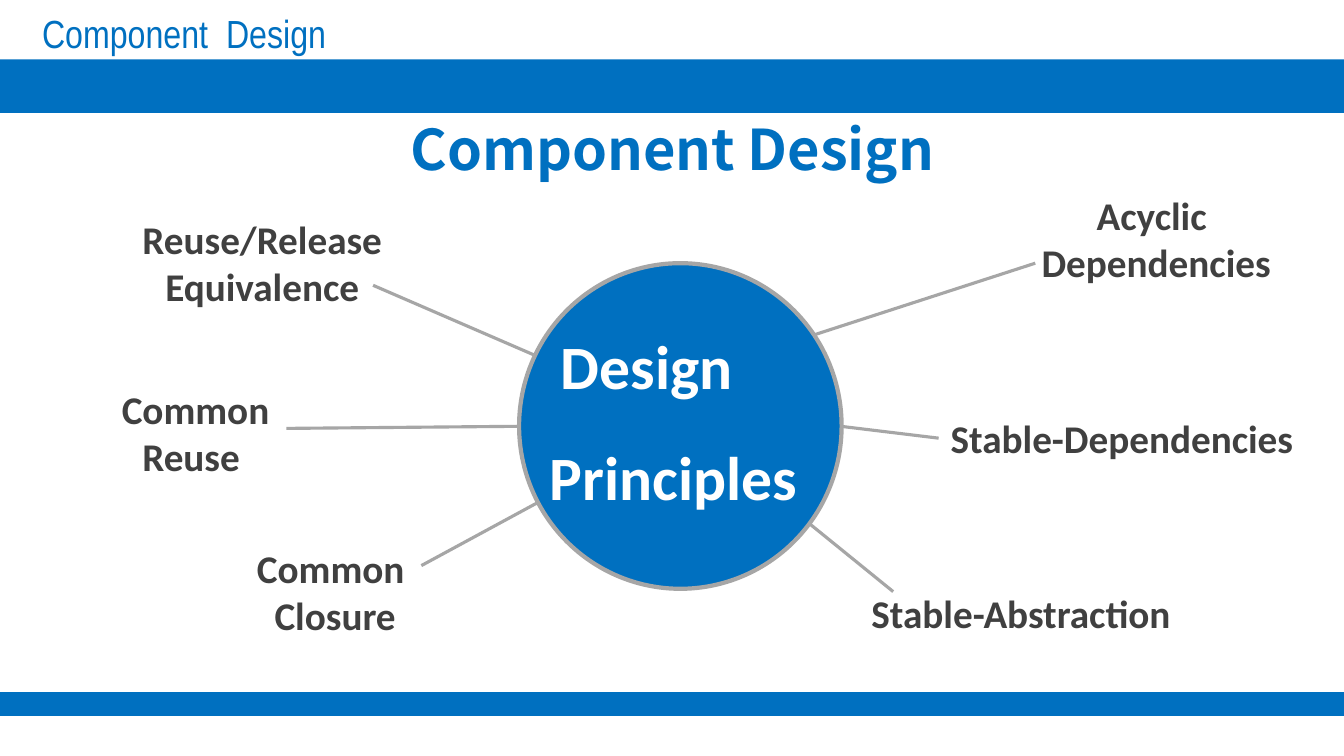
from lxml import etree
from pptx import Presentation
from pptx.dml.color import RGBColor
from pptx.enum import shapes, text
from pptx.oxml.ns import qn
from pptx.util import Pt

BLUE = RGBColor(0x00, 0x70, 0xC0)
GRAY = RGBColor(0xA6, 0xA6, 0xA6)
DARK = RGBColor(0x40, 0x40, 0x40)
WHITE = RGBColor(0xFF, 0xFF, 0xFF)
WIDTH, HEIGHT = 960, 540

presentation = Presentation()
presentation.slide_width = Pt(WIDTH)
presentation.slide_height = Pt(HEIGHT)
slide = presentation.slides.add_slide(presentation.slide_layouts[6])


def add_line(x1, y1, x2, y2, color, weight):
    line = slide.shapes.add_connector(
        shapes.MSO_CONNECTOR.STRAIGHT, Pt(x1), Pt(y1), Pt(x2), Pt(y2))
    line.line.color.rgb = color
    line.line.width = Pt(weight)
    etree.SubElement(line._element.spPr, qn("a:effectLst"))


def add_text(box, lines, size, color, font="Calibri", bold=True,
             align=text.PP_ALIGN.CENTER, wrap=False):
    """Add a text box with one paragraph per line and return its paragraphs."""
    frame = slide.shapes.add_textbox(*map(Pt, box)).text_frame
    frame.word_wrap = wrap
    frame.text = "\n".join(lines)
    for paragraph in frame.paragraphs:
        paragraph.alignment = align
        paragraph.font.name = font
        paragraph.font.size = Pt(size)
        paragraph.font.bold = bold
        paragraph.font.color.rgb = color
        for run in paragraph.runs:
            east_asian = etree.SubElement(run._r.get_or_add_rPr(), qn("a:ea"))
            east_asian.set("typeface", font)
    return frame.paragraphs


# Spokes from the hub to the principles
spokes = [
    (576, 241, 739.5, 188),
    (266.5, 203.8, 382.5, 254),
    (204.5, 306, 371, 304.5),
    (301, 404, 385, 358.5),
    (600.5, 304.5, 670.5, 313),
    (576, 372.3, 638, 422.6),
]
for spoke in spokes:
    add_line(*spoke, GRAY, 2.25)

# Hub
hub = slide.shapes.add_shape(
    shapes.MSO_SHAPE.OVAL, Pt(370.8), Pt(188), Pt(230.4), Pt(232.6))
hub.shadow.inherit = False
hub.fill.solid()
hub.fill.fore_color.rgb = BLUE
hub.line.color.rgb = GRAY
hub.line.width = Pt(3)
hub_lines = add_text((376.6, 204.5, 218, 211), ["Design", "Principles"], 44,
                     WHITE, align=text.PP_ALIGN.LEFT, wrap=True)
for paragraph, indent in zip(hub_lines, (17, 9)):
    paragraph.line_spacing = 1.5
    paragraph._p.get_or_add_pPr().set("marL", str(Pt(indent)))

# Header and footer bands
for y in (72, 502.6):
    add_line(0, y, WIDTH, y, BLUE, 17)
band = slide.shapes.add_shape(
    shapes.MSO_SHAPE.RECTANGLE, 0, Pt(42.5), Pt(WIDTH), Pt(29.5))
band.shadow.inherit = False
band.fill.solid()
band.fill.fore_color.rgb = BLUE
band.line.fill.background()

# Principles: left, top, width, lines
principles = [
    (93.6, 150.5, 193.7, ["Reuse/Release ", "Equivalence "]),
    (69.1, 271.4, 141.1, ["Common", "Reuse "]),
    (175.7, 385.2, 127.4, ["Common ", "Closure"]),
    (729.4, 133.2, 186.5, ["Acyclic", " Dependencies"]),
    (670.3, 292.3, 262.1, ["Stable-Dependencies"]),
    (613.4, 417.6, 231.8, ["Stable-Abstraction"]),
]
for left, top, width, lines in principles:
    add_text((left, top, width, 7 + 34 * len(lines)), lines, 28, DARK)

# Titles
add_text((237.6, 78.5, 485.3, 55.4), ["Component Design"], 40, BLUE,
         font="Noto Sans CJK SC", wrap=True)
add_text((23, 2.9, 264, 41), ["Component  Design"], 28, BLUE,
         font="Arial Narrow", bold=False, align=text.PP_ALIGN.LEFT, wrap=True)

presentation.save("out.pptx")
